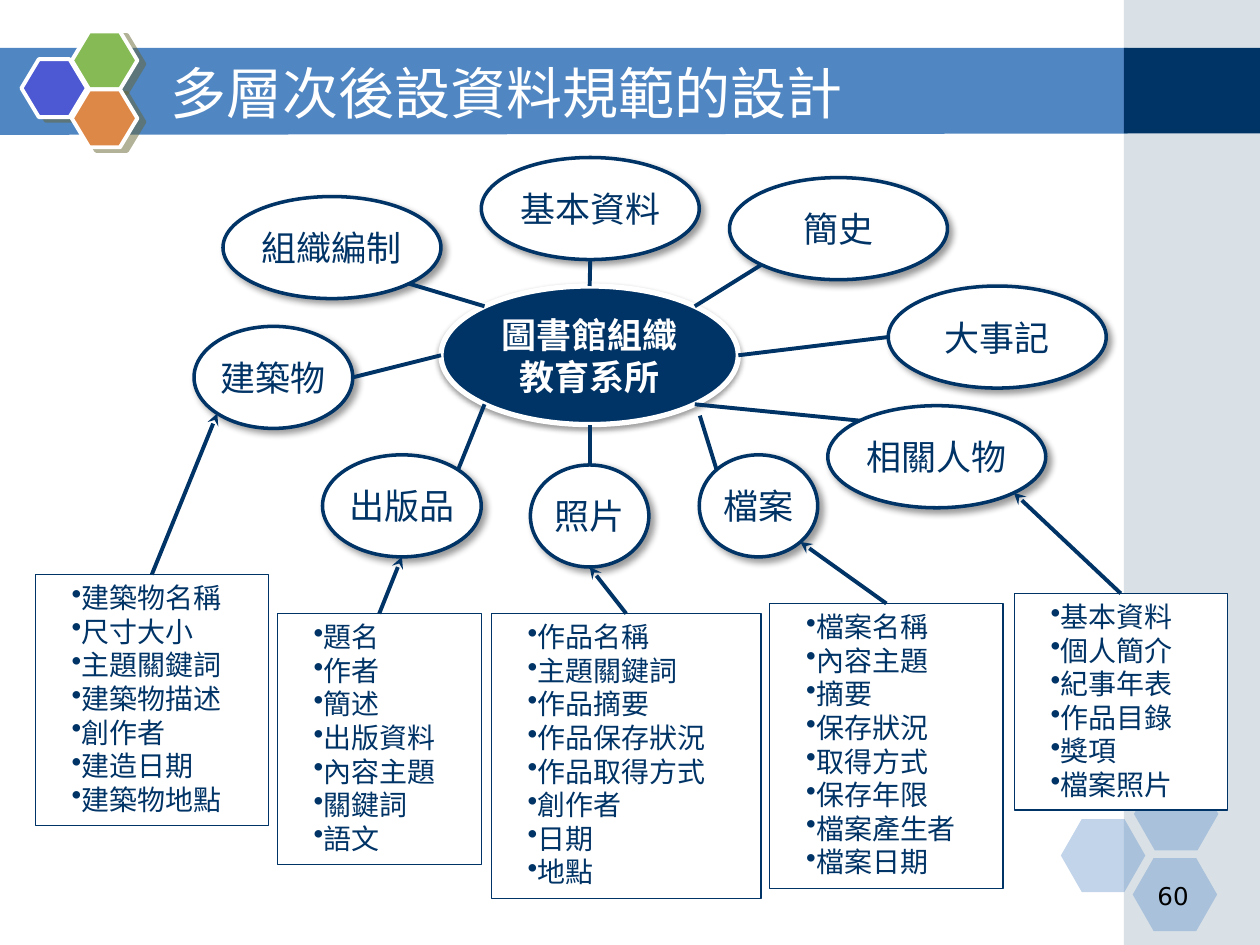
"""Build the slide on multi-level metadata design."""
from math import cos, radians, sin

from lxml.etree import SubElement
from pptx import Presentation
from pptx.dml.color import RGBColor
from pptx.enum.shapes import MSO_CONNECTOR, MSO_SHAPE
from pptx.enum.text import MSO_ANCHOR, PP_ALIGN
from pptx.oxml.ns import qn
from pptx.util import Inches, Pt

TITLE = "多層次後設資料規範的設計"
PAGE = "60"
HUB = ("圖書館組織教育系所", (3.5, 2.27, 2.36, 1.1))
COLORS = dict(navy="003366", blue="5086C2", pale="A0B5C4", white="FFFFFF", black="000000",
              violet="4C59D2", green="85BA54", orange="DE8848", olive="666633")

NODES = [
    ("基本資料", (3.82, 1.25, 1.73), 90, 270),
    ("簡史", (5.79, 1.41, 1.73), 135, 315),
    ("大事記", (7.05, 2.27, 1.73), 180, 0),
    ("相關人物", (6.57, 3.22, 1.73), 225, 45),
    ("檔案", (5.55, 3.61, 0.94), 225, 45),
    ("照片", (4.21, 3.69, 0.94), 270, 90),
    ("出版品", (2.56, 3.61, 1.26), 315, 135),
    ("建築物", (1.54, 2.59, 1.26), 0, 180),
    ("組織編制", (1.77, 1.56, 1.73), 45, 225),
]
NODE_H = 0.81
HUB_SHIFT = {"檔案": (0.04, 0.09)}

LISTS = [
    ("相關人物", 45, (8.05, 4.71, 1.69, 1.72),
     ["基本資料", "個人簡介", "紀事年表", "作品目錄", "獎項", "檔案照片"]),
    ("檔案", 45, (6.11, 4.79, 1.85, 2.26),
     ["檔案名稱", "內容主題", "摘要", "保存狀況", "取得方式", "保存年限", "檔案產生者", "檔案日期"]),
    ("照片", 90, (3.9, 4.87, 2.14, 2.26),
     ["作品名稱", "主題關鍵詞", "作品摘要", "作品保存狀況", "作品取得方式", "創作者", "日期", "地點"]),
    ("出版品", 90, (2.2, 4.87, 1.62, 1.99),
     ["題名", "作者", "簡述", "出版資料", "內容主題", "關鍵詞", "語文"]),
    ("建築物", 135, (0.28, 4.56, 1.85, 1.99),
     ["建築物名稱", "尺寸大小", "主題關鍵詞", "建築物描述", "創作者", "建造日期", "建築物地點"]),
]

BAND = [(-0.01, 0.38), (8.95, 0.38), (8.95, 1.06), (-0.01, 1.07)]
SIDEBAR = [((8.92, 0, 1.08, 7.5), "pale", 40), ((8.92, 0.38, 1.08, 0.68), "navy", None)]
PALE_HEXAGONS = [(8.42, 6.5), (9, 6.17), (8.99, 6.81)]
LOGO_HEXAGONS = [((0.17, 0.47), "violet"), ((0.57, 0.25), "green"), ((0.57, 0.71), "orange")]
HEX_SHADOW = ("olive", 50, 0, 4.5, 27)
HUB_SHADOW = ("black", 38, 3.1, 1.6, 90)
NODE_SHADOW = ("black", 40, 4, 3, 45)


def rgb(name):
    return RGBColor.from_string(COLORS[name])


def add_color(parent, name, alpha):
    clr = SubElement(parent, qn("a:srgbClr"), val=COLORS[name])
    SubElement(clr, qn("a:alpha"), val=str(alpha * 1000))


def paint(sp, fill, line=None, width=0, alpha=None, shadow=None):
    sp.shadow.inherit = False
    sp.fill.solid()
    sp.fill.fore_color.rgb = rgb(fill)
    if alpha:
        clr = sp.fill._xPr.find(qn("a:solidFill")).find(qn("a:srgbClr"))
        SubElement(clr, qn("a:alpha"), val=str(alpha * 1000))
    if line:
        sp.line.color.rgb = rgb(line)
        sp.line.width = Pt(width)
    else:
        sp.line.fill.background()
    if shadow:
        name, opacity, blur, dist, angle = shadow
        effects = sp._element.spPr.find(qn("a:effectLst"))
        outer = SubElement(effects, qn("a:outerShdw"), blurRad=str(Pt(blur)), dist=str(Pt(dist)),
                           dir=str(angle * 60000), algn="ctr", rotWithShape="0")
        add_color(outer, name, opacity)
    return sp


def add_shape(s, kind, box, *args, **kwargs):
    return paint(s.shapes.add_shape(kind, *map(Inches, box)), *args, **kwargs)


def add_hexagon(s, box, adj, *args, **kwargs):
    sp = add_shape(s, MSO_SHAPE.HEXAGON, box, *args, **kwargs)
    sp.adjustments[0] = adj


def write(sp, lines, size, color, align=PP_ALIGN.CENTER, anchor=MSO_ANCHOR.MIDDLE,
          side=0.1, bullet=False, **font):
    tf = sp.text_frame
    frame = dict(word_wrap=True, vertical_anchor=anchor, margin_left=Inches(side),
                 margin_right=Inches(side), margin_top=Inches(0.05), margin_bottom=Inches(0.05))
    for key, value in frame.items():
        setattr(tf, key, value)
    for i, text in enumerate(lines):
        p = tf.paragraphs[0] if i == 0 else tf.add_paragraph()
        p.alignment = align
        if bullet:
            pPr = p._p.get_or_add_pPr()
            pPr.set("marL", "0")
            pPr.set("indent", str(Inches(0.19)))
            clr = SubElement(pPr, qn("a:buClr"))
            SubElement(clr, qn("a:srgbClr"), val=COLORS[color])
            SubElement(pPr, qn("a:buSzPct"), val="103000")
            SubElement(pPr, qn("a:buChar"), char="•")
        r = p.add_run()
        r.text = text
        for key, value in {"size": Pt(size), "name": "Arial", **font}.items():
            setattr(r.font, key, value)
        r.font.color.rgb = rgb(color)


def site(box, angle):
    left, top, width, height = box
    a = radians(angle)
    return left + width / 2 * (1 + cos(a)), top + height / 2 * (1 + sin(a))


def add_line(s, start, end, arrow=False):
    cxn = s.shapes.add_connector(MSO_CONNECTOR.STRAIGHT, *map(Inches, (*start, *end)))
    cxn.line.color.rgb = rgb("navy")
    cxn.line.width = Pt(2.25)
    if arrow:
        SubElement(cxn.line._get_or_add_ln(), qn("a:tailEnd"), type="stealth")
    SubElement(cxn._element.spPr, qn("a:effectLst"))
    return cxn


def add_frame(s):
    fb = s.shapes.build_freeform(*map(Inches, BAND[0]))
    fb.add_line_segments([tuple(map(Inches, pt)) for pt in BAND[1:]], close=True)
    paint(fb.convert_to_shape(), "blue")
    for box, color, alpha in SIDEBAR:
        add_shape(s, MSO_SHAPE.RECTANGLE, box, color, alpha=alpha)
    for pos in PALE_HEXAGONS:
        add_hexagon(s, (*pos, 0.67, 0.58), 0.286, "blue", alpha=35)
    for pos, color in LOGO_HEXAGONS:
        add_hexagon(s, (*pos, 0.52, 0.46), 0.3, color, "white", 2.25, shadow=HEX_SHADOW)

    title = s.shapes.title
    s.shapes._spTree.append(title._element)
    title.left, title.top, title.width, title.height = map(Inches, (1.25, 0.42, 7.33, 0.62))
    write(title, [TITLE], 32, "white", PP_ALIGN.LEFT)
    page = s.shapes.add_textbox(*map(Inches, (8.9, 6.98, 0.82, 0.25)))
    write(page, [PAGE], 14, "black", name="DejaVu Sans")


def add_diagram(s):
    text, hub = HUB
    sp = add_shape(s, MSO_SHAPE.OVAL, hub, "navy", "white", 3, shadow=HUB_SHADOW)
    write(sp, [text], 20, "white", bold=True)
    boxes = {name: (*place, NODE_H) for name, place, _, _ in NODES}
    for name, box in boxes.items():
        sp = add_shape(s, MSO_SHAPE.OVAL, box, "white", "navy", 2, shadow=NODE_SHADOW)
        write(sp, [name], 20, "navy", side=0)
    for name, _, node_angle, hub_angle in NODES:
        dx, dy = HUB_SHIFT.get(name, (0, 0))
        x, y = site(hub, hub_angle)
        add_line(s, site(boxes[name], node_angle), (x + dx, y + dy))
    for name, angle, box, items in LISTS:
        sp = add_shape(s, MSO_SHAPE.RECTANGLE, box, "white", "navy", 0.75)
        write(sp, items, 16, "navy", PP_ALIGN.LEFT, MSO_ANCHOR.TOP, bullet=True)
        start = box[0] + box[2] / 2, box[1]
        add_line(s, start, site(boxes[name], angle), arrow=True).begin_connect(sp, 0)


def main():
    prs = Presentation()
    prs.slide_width, prs.slide_height = Inches(10), Inches(7.5)
    s = prs.slides.add_slide(prs.slide_layouts[5])
    add_frame(s)
    add_diagram(s)
    prs.save("out.pptx")


if __name__ == "__main__":
    main()
